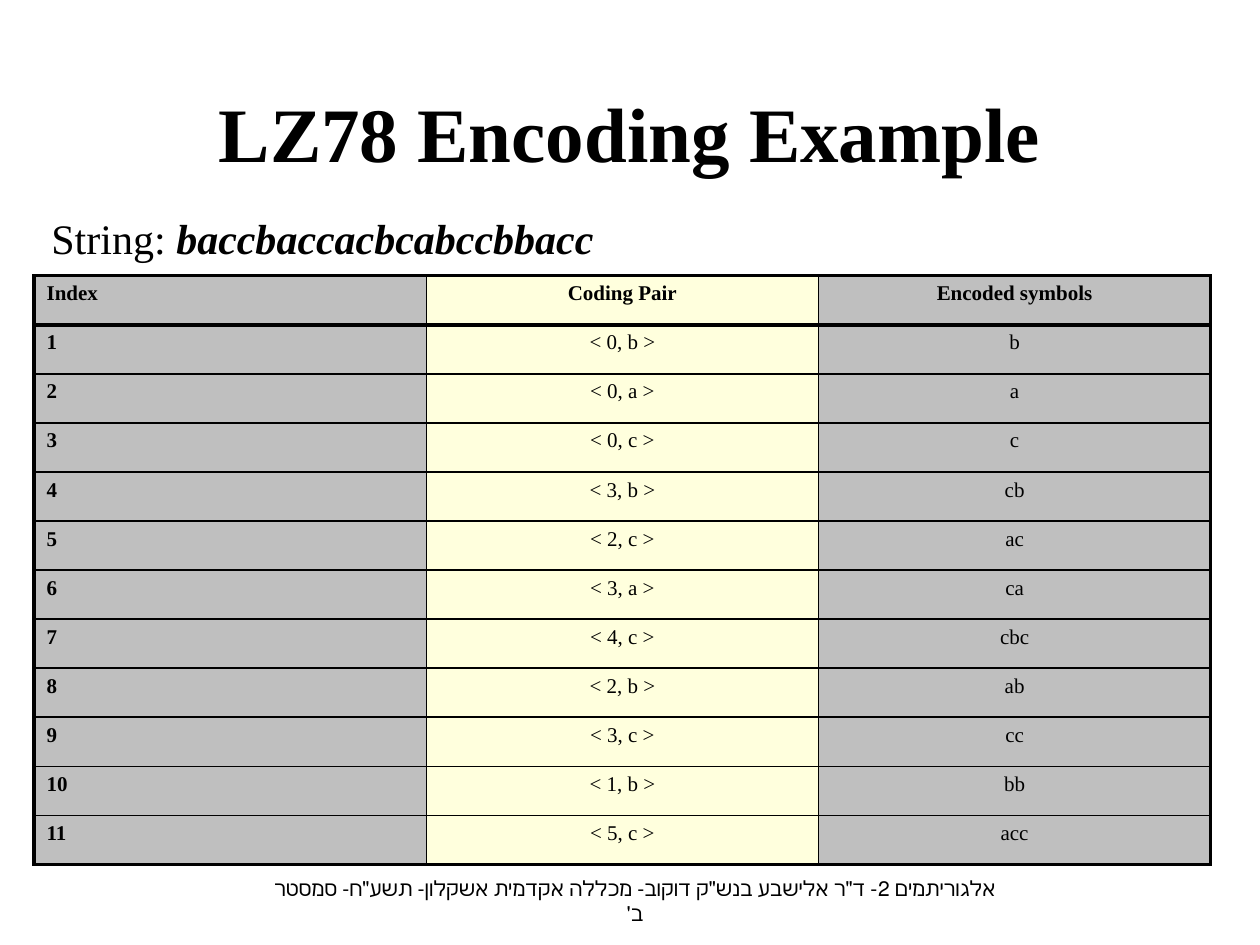
"""Build the LZ78 encoding example slide."""
from dataclasses import dataclass

from lxml.etree import SubElement
from pptx import Presentation
from pptx.dml.color import RGBColor
from pptx.enum.text import MSO_ANCHOR, MSO_AUTO_SIZE, PP_ALIGN
from pptx.oxml.ns import qn
from pptx.util import Inches, Pt

BLACK = RGBColor(0, 0, 0)
GRAY = RGBColor(0xBF, 0xBF, 0xBF)
CREAM = RGBColor(0xFF, 0xFF, 0xDD)
FONT = "Times New Roman"
THICK, THIN = Pt(2), Pt(0.75)


@dataclass(frozen=True)
class Column:
    heading: str
    fill: RGBColor
    align: PP_ALIGN
    bold: bool


@dataclass(frozen=True)
class Step:
    pair: str
    symbols: str


COLUMNS = [
    Column("Index", GRAY, PP_ALIGN.LEFT, True),
    Column("Coding Pair", CREAM, PP_ALIGN.CENTER, False),
    Column("Encoded symbols", GRAY, PP_ALIGN.CENTER, False),
]
STEPS = [
    Step("0, b", "b"),
    Step("0, a", "a"),
    Step("0, c", "c"),
    Step("3, b", "cb"),
    Step("2, c", "ac"),
    Step("3, a", "ca"),
    Step("4, c", "cbc"),
    Step("2, b", "ab"),
    Step("3, c", "cc"),
    Step("1, b", "bb"),
    Step("5, c", "acc"),
]


def format_span(span, size: float, bold: bool = False, italic: bool = False) -> None:
    font = span.font
    font.name, font.size = FONT, Pt(size)
    font.bold, font.italic = bold, italic
    font.color.rgb = BLACK


def draw_borders(cell, widths: dict[str, int]) -> None:
    properties = cell._tc.get_or_add_tcPr()
    for side, width in widths.items():
        line = SubElement(properties, qn(f"a:ln{side}"), w=str(width))
        fill = SubElement(line, qn("a:solidFill"))
        SubElement(fill, qn("a:srgbClr"), val=str(BLACK))


def fill_cell(cell, text: str, column: Column, bold: bool) -> None:
    cell.fill.solid()
    cell.fill.fore_color.rgb = column.fill
    para = cell.text_frame.paragraphs[0]
    para.text = text
    para.alignment = column.align
    indent = Inches(0.38)
    properties = para._p.get_or_add_pPr()
    properties.set("marL", str(indent))
    properties.set("indent", str(-indent))
    format_span(para.runs[0], 12, bold)


def add_title(slide) -> None:
    title = slide.shapes.title
    title.left, title.top = Inches(0.33), Inches(0.42)
    title.width, title.height = Inches(9.34), Inches(1.25)
    frame = title.text_frame
    frame.text = "LZ78 Encoding Example"
    frame.vertical_anchor = MSO_ANCHOR.MIDDLE
    para = frame.paragraphs[0]
    para.alignment = PP_ALIGN.CENTER
    format_span(para.runs[0], 44, bold=True)


def add_code_table(slide) -> None:
    rows = [[column.heading for column in COLUMNS]]
    rows += [[str(index), f"< {step.pair} >", step.symbols]
             for index, step in enumerate(STEPS, 1)]
    last_row, last_column = len(rows) - 1, len(COLUMNS) - 1
    table = slide.shapes.add_table(
        len(rows), len(COLUMNS), Inches(0.27), Inches(2.19), Inches(9.34), Inches(4.67)
    ).table
    for row, texts in enumerate(rows):
        for position, (text, column) in enumerate(zip(texts, COLUMNS)):
            cell = table.cell(row, position)
            draw_borders(cell, {
                "L": THICK if position == 0 else THIN,
                "R": THICK if position == last_column else THIN,
                "T": THICK if row in (0, 1) else THIN,
                "B": THICK if row in (0, last_row) else THIN,
            })
            fill_cell(cell, text, column, row == 0 or column.bold)


def add_source_string(slide) -> None:
    box = slide.shapes.add_textbox(Inches(0.31), Inches(1.64), Inches(4.54), Inches(0.5))
    frame = box.text_frame
    frame.word_wrap = False
    frame.auto_size = MSO_AUTO_SIZE.SHAPE_TO_FIT_TEXT
    para = frame.paragraphs[0]
    for text, strong in (("String: ", False), ("baccbaccacbcabccbbacc", True)):
        span = para.add_run()
        span.text = text
        format_span(span, 24, bold=strong, italic=strong)


def add_course_line(slide) -> None:
    box = slide.shapes.add_textbox(Inches(2.03), Inches(6.95), Inches(6.02), Inches(0.4))
    frame = box.text_frame
    frame.word_wrap = True
    frame.vertical_anchor = MSO_ANCHOR.MIDDLE
    para = frame.paragraphs[0]
    para.text = "אלגוריתמים 2- ד\"ר אלישבע בנש\"ק דוקוב- מכללה אקדמית אשקלון- תשע\"ח- סמסטר ב'"
    para.alignment = PP_ALIGN.CENTER
    para._p.get_or_add_pPr().set("rtl", "1")
    format_span(para.runs[0], 12)


def main() -> None:
    deck = Presentation()
    deck.slide_width, deck.slide_height = Inches(10), Inches(7.5)
    page = deck.slides.add_slide(deck.slide_layouts[5])
    add_title(page)
    add_code_table(page)
    add_source_string(page)
    add_course_line(page)
    deck.save("out.pptx")


if __name__ == "__main__":
    main()
